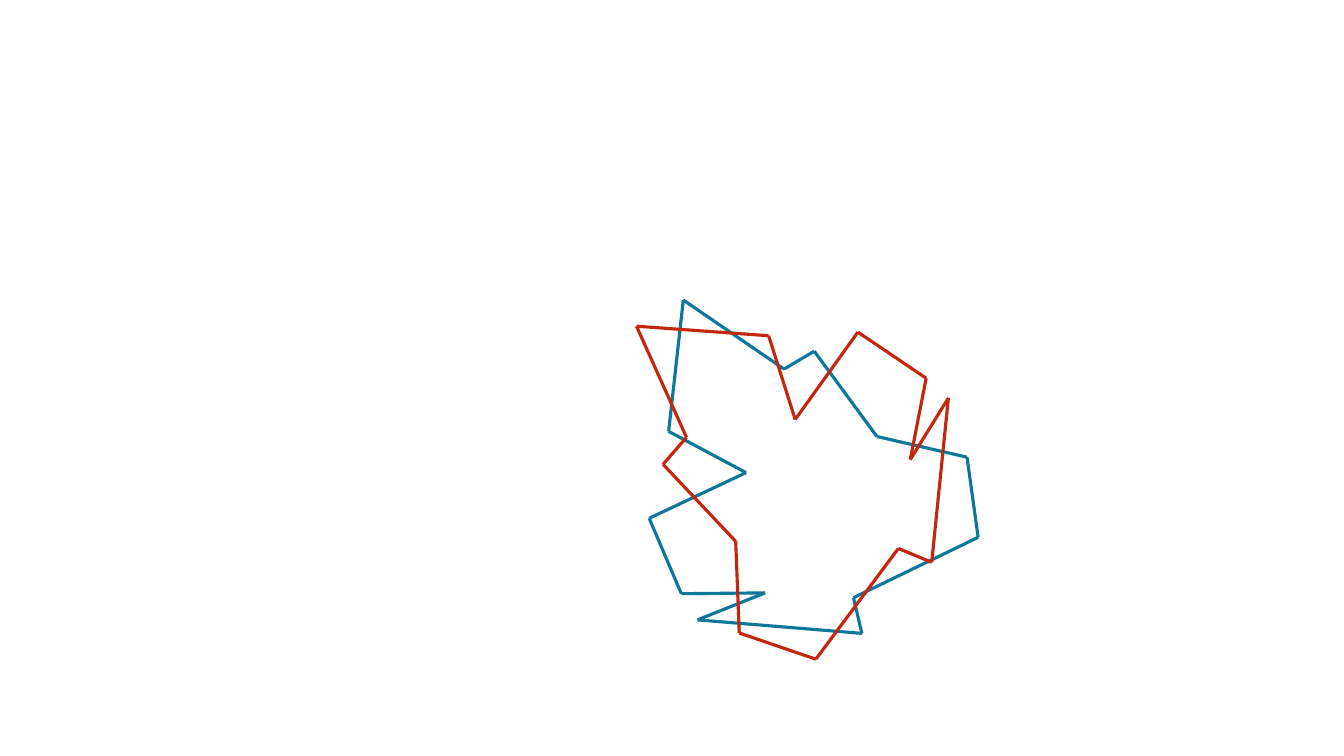
from itertools import pairwise

from lxml import etree
from pptx import Presentation
from pptx import util as u
from pptx.dml.color import RGBColor
from pptx.enum import shapes
from pptx.oxml.ns import qn

# Corners in centimetres from the top left of the drawing area
BLUE_CORNERS = [
    (4.52, 1.35), (6.1, 3.5), (8.37, 4.02), (8.65, 6.04), (5.51, 7.56),
    (5.72, 8.46), (1.58, 8.12), (3.28, 7.44), (1.17, 7.46), (0.36, 5.56),
    (2.8, 4.41), (0.85, 3.37), (1.22, 0.06), (3.76, 1.8),
]
RED_CORNERS = [
    (0.71, 4.2), (2.54, 6.14), (2.63, 8.45), (4.56, 9.11), (6.64, 6.32),
    (7.48, 6.67), (7.9, 2.53), (6.94, 4.08), (7.34, 2.03), (5.62, 0.87),
    (4.04, 3.07), (3.37, 0.96), (0.04, 0.72), (1.3, 3.52),
]


def color(hex_string):
    return RGBColor.from_string(hex_string)


def add_line(group, start, end, line_color):
    line = group.shapes.add_connector(
        shapes.MSO_CONNECTOR.STRAIGHT, *map(u.Cm, start + end))
    line.line.color.rgb = color(line_color)
    line.line.width = u.Pt(2.25)
    properties = line._element.find(qn("p:spPr"))
    etree.SubElement(properties, qn("a:effectLst"))


def add_outline(page, left, top, corners, line_color):
    """Group the lines that join the corners in order and back to the first."""
    group = page.shapes.add_group_shape()
    placed = [(left + x, top + y) for x, y in corners]
    for start, end in pairwise(placed + placed[:1]):
        add_line(group, start, end, line_color)


def main():
    deck = Presentation()
    deck.slide_width, deck.slide_height = u.Cm(33.87), u.Cm(19.05)
    page = deck.slides.add_slide(deck.slide_layouts[6])
    left, top = 16, 7.5
    add_outline(page, left, top, BLUE_CORNERS, "0C779D")
    add_outline(page, left, top, RED_CORNERS, "C3260C")
    deck.save("out.pptx")


if __name__ == "__main__":
    main()
